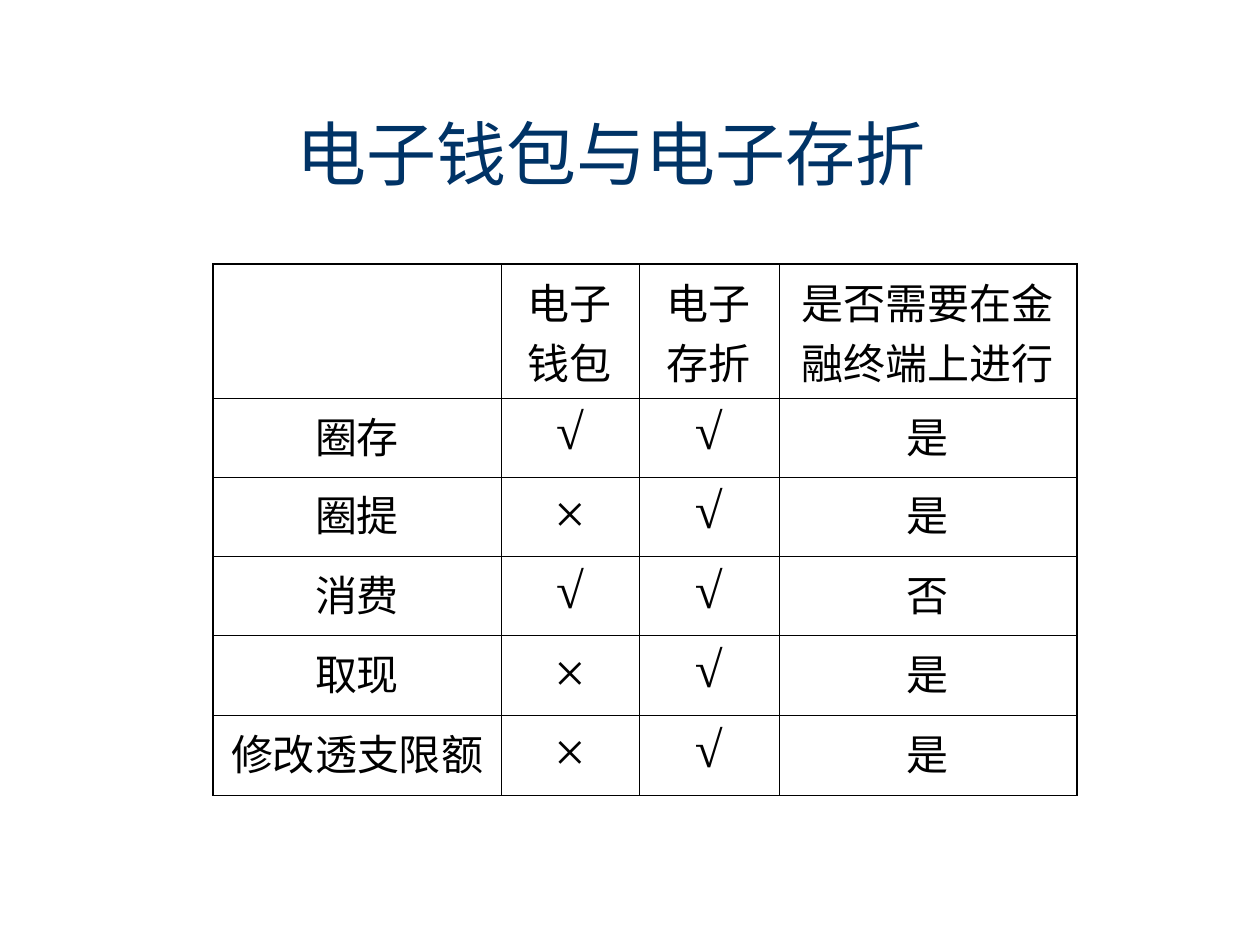
import pptx
import pptx.dml.color
import pptx.enum.text
import pptx.oxml
import pptx.oxml.ns
import pptx.util

THEME = {
    "font": "Times New Roman",
    "ink": "000000",
    "head": "003366",
    "title": 40,
    "body": 24,
    "marks": {"√": 29, "×": 32},
    "thin": 0.45,
    "thick": 1.08,
}
COLS = [288, 138, 140, 298]
ROWS = [134] + [79] * 5
DATA = [
    ["", "电子钱包", "电子存折", "是否需要在金融终端上进行"],
    ["圈存", "√", "√", "是"],
    ["圈提", "×", "√", "是"],
    ["消费", "√", "√", "否"],
    ["取现", "×", "√", "是"],
    ["修改透支限额", "×", "√", "是"],
]
ALIGN = pptx.enum.text.PP_ALIGN
ANCHOR = pptx.enum.text.MSO_ANCHOR


def px(n):
    return pptx.util.Emu(round(n * 914400 / 126))


def apply(item, form):
    for key, val in form.items():
        setattr(item, key, val)


def write(frame, text, size, tint, align):
    para = frame.paragraphs[0]
    para.alignment = align
    run = para.add_run()
    run.text = text
    apply(run.font, {"name": THEME["font"], "size": pptx.util.Pt(size)})
    run.font.color.rgb = pptx.dml.color.RGBColor.from_string(tint)


def edge(cell, side, width):
    line = pptx.oxml.parse_xml(
        f'<a:ln{side} {pptx.oxml.ns.nsdecls("a")} w="{pptx.util.Pt(width)}">'
        f'<a:solidFill><a:srgbClr val="{THEME["ink"]}"/></a:solidFill>'
        f'</a:ln{side}>')
    cell._tc.get_or_add_tcPr().append(line)


def title(slide, box):
    frame = slide.shapes.add_textbox(*map(px, box)).text_frame
    apply(frame, {"word_wrap": True, "vertical_anchor": ANCHOR.MIDDLE})
    write(frame, "电子钱包与电子存折", THEME["title"], THEME["head"], ALIGN.LEFT)


def grid(slide, left, top):
    box = (left, top, sum(COLS), sum(ROWS))
    table = slide.shapes.add_table(len(ROWS), len(COLS), *map(px, box)).table
    apply(table, {"first_row": False, "horz_banding": False})
    for col, wide in zip(table.columns, COLS):
        col.width = px(wide)
    for row, high in zip(table.rows, ROWS):
        row.height = px(high)
    for r, line in enumerate(DATA):
        for c, text in enumerate(line):
            cell = table.cell(r, c)
            outer = {"L": c == 0, "R": c == len(COLS) - 1,
                     "T": r == 0, "B": r == len(ROWS) - 1}
            for side, rim in outer.items():
                edge(cell, side, THEME["thick" if rim else "thin"])
            cell.fill.background()
            if text:
                size = THEME["marks"].get(text, THEME["body"])
                write(cell.text_frame, text, size, THEME["ink"], ALIGN.CENTER)


def main():
    deck = pptx.Presentation()
    apply(deck, {"slide_width": px(1260), "slide_height": px(945)})
    slide = deck.slides.add_slide(deck.slide_layouts[6])
    title(slide, (284, 95, 872, 116))
    grid(slide, 213, 264)
    deck.save("out.pptx")


if __name__ == "__main__":
    main()
